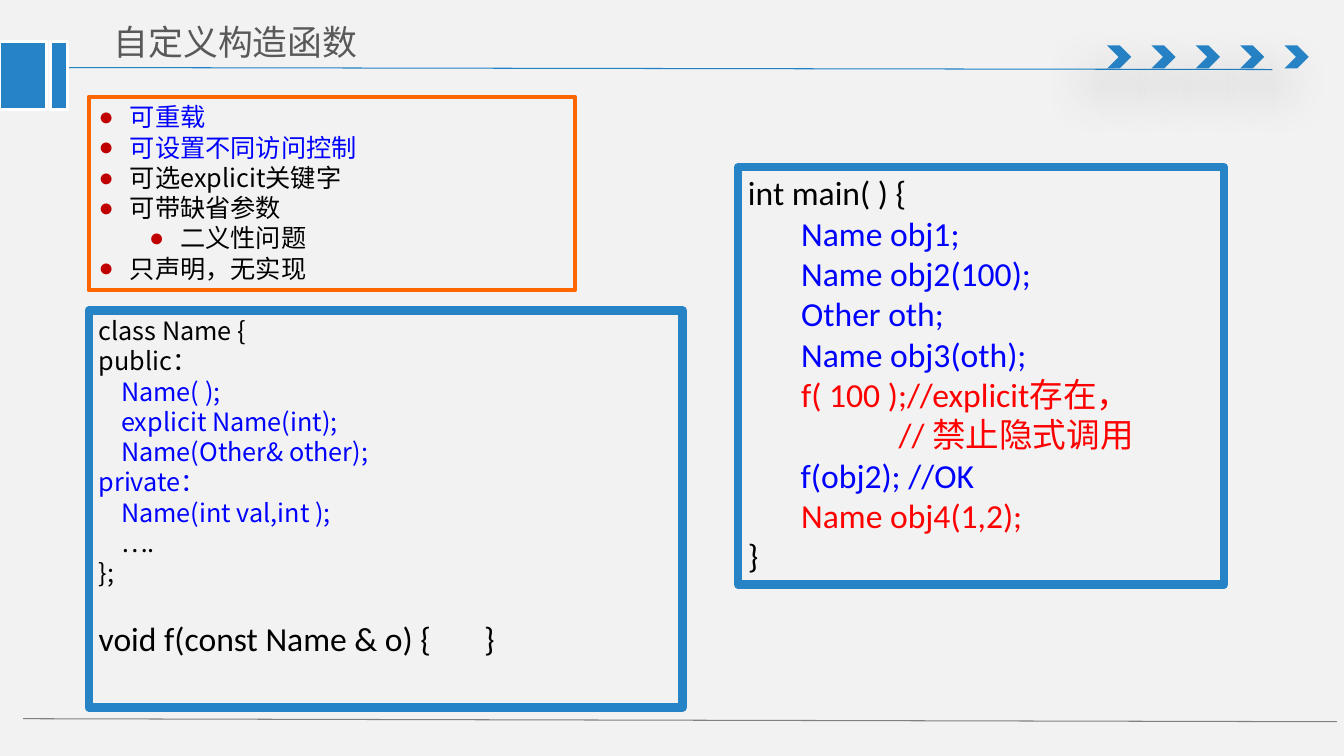
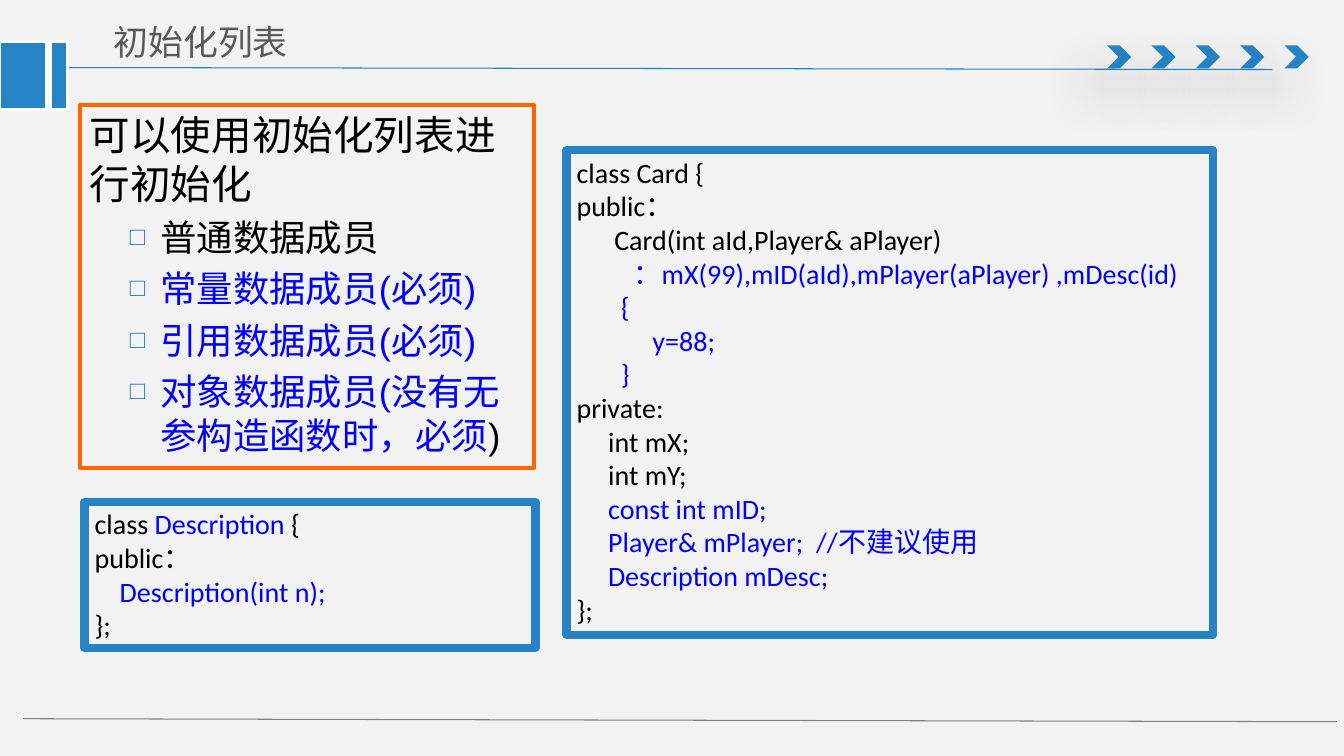
from pptx import Presentation
from pptx.dml.color import RGBColor
from pptx.enum.shapes import MSO_CONNECTOR as CONNECTOR, MSO_SHAPE as SHAPE
from pptx.enum.text import MSO_ANCHOR as ANCHOR, PP_ALIGN as ALIGN
from pptx.oxml.ns import qn
from pptx.util import Inches, Pt
from lxml.etree import SubElement

COLOURS = {
    "background": "F2F2F2",
    "blue": "2683C6",
    "rule": "2181C6",
    "grey": "808080",
    "white": "FFFFFF",
    "title": "595959",
    "orange": "FF6600",
    "bullet": "C00000",
    "black": "000000",
    "code_blue": "0000FF",
    "red": "FF0000",
}
CJK_FONT = "Noto Sans CJK SC"
LINE_HEIGHT = 1.2
CHEVRON_LEFT, CHEVRON_STEP, CHEVRON_COUNT = 10.98, 0.44, 5

CODE_18 = {"size": 18, "font": CJK_FONT}
CODE_20 = {"size": 20, "font": "Calibri"}
CODE_24 = {"size": 24, "font": "Calibri"}
TOPIC = {"size": 18, "font": CJK_FONT, "bullet": ("●", "bullet", 100),
         "left": 0.31, "hanging": 0.31}
SUBTOPIC = {**TOPIC, "left": 0.81}
LEAD = {"size": 29, "font": "Arial"}
MEMBER = {"size": 26, "font": "Arial", "bullet": ("□", "blue", 70),
          "left": 0.7, "hanging": 0.3, "before": 5.5}


def colour(name):
    return RGBColor.from_string(COLOURS[name])


def assign(target, values):
    for name, value in values.items():
        setattr(target, name, value)


def add_element(parent, tag, **attributes):
    return SubElement(parent, qn(tag), {key: str(value) for key, value in attributes.items()})


def add_block(slide, preset, box, fill=None, line=None, width=0):
    shape = slide.shapes.add_shape(preset, *map(Inches, box))
    shape.shadow.inherit = False
    if fill:
        shape.fill.solid()
        shape.fill.fore_color.rgb = colour(fill)
    else:
        shape.fill.background()
    if line:
        shape.line.color.rgb = colour(line)
        shape.line.width = Pt(width)
    else:
        shape.line.fill.background()
    return shape


def add_rule(slide, start, end, line):
    points = map(Inches, (*start, *end))
    connector = slide.shapes.add_connector(CONNECTOR.STRAIGHT, *points)
    connector.line.color.rgb = colour(line)
    connector.line.width = Pt(0.75)
    add_element(connector.element.spPr, "a:effectLst")


def add_soft_shadow(shape):
    effects = shape.element.spPr.find(qn("a:effectLst"))
    shadow = add_element(effects, "a:outerShdw", blurRad=Pt(36), dist=Pt(24),
                         dir=130 * 60000, algn="t", rotWithShape=0)
    tint = add_element(shadow, "a:srgbClr", val=COLOURS["black"])
    add_element(tint, "a:alpha", val=38000)


def add_bullet(paragraph, bullet, left, hanging):
    character, tint, percent = bullet
    properties = paragraph._p.get_or_add_pPr()
    properties.set("marL", str(Inches(left)))
    properties.set("indent", str(-Inches(hanging)))
    add_element(add_element(properties, "a:buClr"), "a:srgbClr", val=COLOURS[tint])
    add_element(properties, "a:buSzPct", val=percent * 1000)
    add_element(properties, "a:buFont", typeface="Arial")
    add_element(properties, "a:buChar", char=character)


def add_run(paragraph, text, tint, style):
    run = paragraph.add_run()
    run.text = text
    assign(run.font, {"name": style["font"], "size": Pt(style["size"])})
    run.font.color.rgb = colour(tint)
    add_element(run.font._element, "a:ea", typeface=CJK_FONT)


def fill_paragraph(paragraph, style, runs):
    if "bullet" in style:
        add_bullet(paragraph, style["bullet"], style["left"], style["hanging"])
    assign(paragraph, {
        "alignment": ALIGN.LEFT,
        "line_spacing": Pt(style["size"] * LINE_HEIGHT),
        "space_before": Pt(style.get("before", 0)),
    })
    for text, tint in runs:
        for index, line in enumerate(text.split("\n")):
            if index:
                paragraph.add_line_break()
            if line:
                add_run(paragraph, line, tint, style)


def fill_text(shape, paragraphs, **frame_values):
    frame = shape.text_frame
    assign(frame, {"word_wrap": True, "vertical_anchor": ANCHOR.TOP, **frame_values})
    for index, (style, *runs) in enumerate(paragraphs):
        paragraph = frame.add_paragraph() if index else frame.paragraphs[0]
        fill_paragraph(paragraph, style, runs)


def add_code_box(slide, box, paragraphs):
    fill_text(add_block(slide, SHAPE.RECTANGLE, box, line="blue", width=6), paragraphs)


def add_topic_box(slide, box, paragraphs):
    fill_text(add_block(slide, SHAPE.RECTANGLE, box, line="orange", width=3), paragraphs)


def add_base_slide(presentation, title):
    slide = presentation.slides.add_slide(presentation.slide_layouts[6])
    slide.background.fill.solid()
    slide.background.fill.fore_color.rgb = colour("background")
    add_rule(slide, (0.53, 0.67), (12.62, 0.69), "rule")
    for index in range(CHEVRON_COUNT):
        left = CHEVRON_LEFT + index * CHEVRON_STEP
        add_soft_shadow(add_block(slide, SHAPE.CHEVRON, (left, 0.45, 0.24, 0.23), "blue"))
    add_rule(slide, (0.23, 7.13), (13.26, 7.16), "grey")
    for left, width in ((0, 0.46), (0.5, 0.17)):
        add_block(slide, SHAPE.RECTANGLE, (left, 0.41, width, 0.68), "blue", "white", 2)
    title_box = slide.shapes.add_textbox(*map(Inches, (0.99, 0.14, 4.63, 0.55)))
    fill_text(title_box, [({"size": 24.9, "font": CJK_FONT}, (title, "title"))],
              vertical_anchor=ANCHOR.MIDDLE,
              margin_left=Inches(0.14), margin_right=Inches(0.14),
              margin_top=Inches(0.07), margin_bottom=Inches(0.07))
    return slide


def build_constructors(presentation):
    slide = add_base_slide(presentation, "自定义构造函数")
    add_topic_box(slide, (0.88, 0.96, 4.82, 1.92), [
        (TOPIC, ("可重载", "code_blue")),
        (TOPIC, ("可设置不同访问控制", "code_blue")),
        (TOPIC, ("可选explicit关键字", "black")),
        (TOPIC, ("可带缺省参数", "black")),
        (SUBTOPIC, ("二义性问题", "black")),
        (TOPIC, ("只声明，无实现", "black")),
    ])
    add_code_box(slide, (0.88, 3.08, 5.89, 3.94), [
        (CODE_18, ("class Name {\npublic：", "black")),
        (CODE_18,
         ("    Name( );\n    explicit Name(int);\n    Name(Other& other);\n"
          "private：\n    Name(int val,int );\n", "code_blue"),
         ("    ….\n};", "black")),
        ({**CODE_24, "before": 22}, ("void f(const Name & o) {       }", "black")),
    ])
    add_code_box(slide, (7.32, 1.66, 4.82, 4.14), [
        (CODE_24,
         ("int main( ) {\n", "black"),
         ("       Name obj1;\n       Name obj2(100);\n       Other oth;\n"
          "       Name obj3(oth);\n       ", "code_blue"),
         ("f( 100 );//explicit存在，\n                    // 禁止隐式调用\n", "red"),
         ("       f(obj2); //OK", "code_blue")),
        (CODE_24, ("       Name obj4(1,2);\n", "red"), ("}", "black")),
    ])


def build_initializer_list(presentation):
    slide = add_base_slide(presentation, "初始化列表")
    add_code_box(slide, (5.62, 1.49, 6.41, 4.81), [
        (CODE_20,
         ("class Card {\npublic：\n      Card(int aId,Player& aPlayer)\n         ", "black"),
         ("：mX(99),mID(aId),mPlayer(aPlayer) ,mDesc(id)\n"
          "       {\n            y=88;\n       }\n", "code_blue"),
         ("private:\n     int mX;\n     int mY;", "black")),
        (CODE_20,
         ("     const int mID;\n     Player& mPlayer;  //不建议使用\n"
          "     Description mDesc;\n", "code_blue"),
         ("};", "black")),
    ])
    add_topic_box(slide, (0.79, 1.04, 4.51, 3.6), [
        (LEAD, ("可以使用初始化列表进行初始化", "black")),
        (MEMBER, ("普通数据成员", "black")),
        (MEMBER, ("常量数据成员(必须)", "code_blue")),
        (MEMBER, ("引用数据成员(必须)", "code_blue")),
        (MEMBER, ("对象数据成员(没有无参构造函数时，必须", "code_blue"), (")", "black")),
    ])
    add_code_box(slide, (0.84, 4.98, 4.47, 1.45), [
        (CODE_20,
         ("class ", "black"), ("Description", "code_blue"),
         (" {\npublic：\n    ", "black"), ("Description(int n);", "code_blue")),
        (CODE_20, ("};", "black")),
    ])


def main():
    presentation = Presentation()
    assign(presentation, {"slide_width": Inches(13.33), "slide_height": Inches(7.5)})
    build_constructors(presentation)
    build_initializer_list(presentation)
    presentation.save("out.pptx")


if __name__ == "__main__":
    main()
